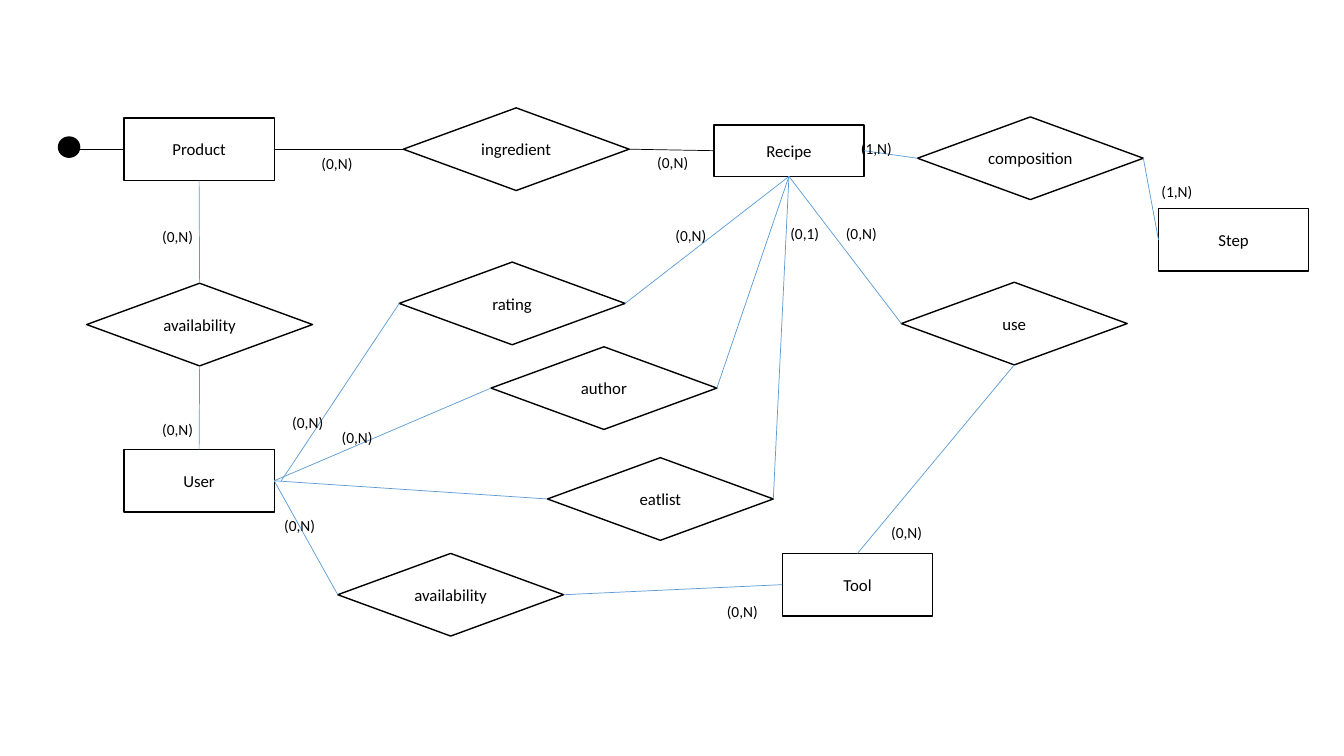
from dataclasses import dataclass

from lxml import etree
from pptx import Presentation
from pptx.dml.color import RGBColor
from pptx.enum.shapes import MSO_CONNECTOR, MSO_SHAPE
from pptx.enum.text import MSO_ANCHOR, MSO_AUTO_SIZE, PP_ALIGN
from pptx.oxml.ns import qn
from pptx.util import Inches, Pt

RECTANGLE, DIAMOND, OVAL = MSO_SHAPE.RECTANGLE, MSO_SHAPE.DIAMOND, MSO_SHAPE.OVAL
STRAIGHT = MSO_CONNECTOR.STRAIGHT
MIDDLE, CENTER, LEFT_ALIGN = MSO_ANCHOR.MIDDLE, PP_ALIGN.CENTER, PP_ALIGN.LEFT
GROW = MSO_AUTO_SIZE.SHAPE_TO_FIT_TEXT
TOP, LEFT, BOTTOM, RIGHT = range(4)  # connection sites of rectangles and diamonds


@dataclass(frozen=True)
class Theme:
    font: str = "Calibri"
    ink: RGBColor = RGBColor(0x00, 0x00, 0x00)
    paper: RGBColor = RGBColor(0xFF, 0xFF, 0xFF)
    link: RGBColor = RGBColor(0x5B, 0x9B, 0xD5)
    node_size: Pt = Pt(12)
    label_size: Pt = Pt(11)
    outline: Pt = Pt(1)
    link_width: Pt = Pt(0.5)


THEME = Theme()

# Positions and sizes are columns and rows of a grid with square cells
CELL = Inches(0.1)
ENTITY_SIZE = (14.9, 6.2)
RELATION_SIZE = (22.4, 8.2)
LABEL_SIZE = (5.1, 2.9)
RECIPE_HEIGHT = 5.1

# key: (column, row, height)
ENTITIES = {
    "Product": (12.3, 11.7, ENTITY_SIZE[1]),
    "Recipe": (70.8, 12.4, RECIPE_HEIGHT),
    "User": (12.3, 44.6, ENTITY_SIZE[1]),
    "Tool": (77.6, 54.9, ENTITY_SIZE[1]),
    "Step": (114.9, 20.7, ENTITY_SIZE[1]),
}

# key: (text, column, row)
RELATIONS = {
    "ingredient": ("ingredient", 40, 10.7),
    "product availability": ("availability", 8.6, 28.1),
    "tool availability": ("availability", 33.5, 54.9),
    "use": ("use", 89.4, 28),
    "rating": ("rating", 39.6, 26),
    "author": ("author", 48.7, 34.4),
    "composition": ("composition", 91, 11.6),
    "eatlist": ("eatlist", 54.3, 45.4),
}

BLACK_LINKS = [
    ("Product", RIGHT, "ingredient", LEFT),
    ("ingredient", RIGHT, "Recipe", LEFT),
]
BLUE_LINKS = [
    ("Product", BOTTOM, "product availability", TOP),
    ("product availability", BOTTOM, "User", TOP),
    ("User", RIGHT, "tool availability", LEFT),
    ("tool availability", RIGHT, "Tool", LEFT),
    ("Recipe", BOTTOM, "use", LEFT),
    ("use", BOTTOM, "Tool", TOP),
    ("rating", RIGHT, "Recipe", BOTTOM),
    ("User", RIGHT, "author", LEFT),
    ("author", RIGHT, "Recipe", BOTTOM),
    ("Recipe", RIGHT, "composition", LEFT),
    ("composition", RIGHT, "Step", LEFT),
    ("User", RIGHT, "eatlist", LEFT),
    ("eatlist", RIGHT, "Recipe", BOTTOM),
]

# cardinality: its (column, row) positions
CARDINALITIES = {
    "(0,N)": [
        (30.9, 14.8), (64.2, 14.7), (32.9, 42), (66, 21.9), (28, 40.5), (15.1, 41.2),
        (15.1, 22), (27.2, 50.7), (71.1, 59.2), (82.9, 21.7), (87.4, 51.4),
    ],
    "(0,1)": [(77.4, 21.7)],
    "(1,N)": [(84.4, 13.3), (114.2, 17.6)],
}


def cells(*counts):
    return [round(count * CELL) for count in counts]


def add_text(frame, text, size, alignment):
    paragraph = frame.paragraphs[0]
    paragraph.alignment = alignment
    run = paragraph.add_run()
    run.text = text
    run.font.name = THEME.font
    run.font.size = size
    run.font.color.rgb = THEME.ink


def add_node(slide, kind, position, size, fill, text=None):
    shape = slide.shapes.add_shape(kind, *cells(*position, *size))
    shape.shadow.inherit = False
    shape.fill.solid()
    shape.fill.fore_color.rgb = fill
    shape.line.color.rgb = THEME.ink
    shape.line.width = THEME.outline
    if text:
        shape.text_frame.vertical_anchor = MIDDLE
        add_text(shape.text_frame, text, THEME.node_size, CENTER)
    return shape


def add_link(slide, color, shape, site, end_shape=None, end_site=None, end=(0, 0)):
    """Run from a site of a shape to a site of another one, or to a grid point."""
    end_x, end_y = cells(*end)
    connector = slide.shapes.add_connector(STRAIGHT, 0, 0, end_x, end_y)
    connector.begin_connect(shape, site)
    if end_shape is not None:
        connector.end_connect(end_shape, end_site)
    connector.line.color.rgb = color
    connector.line.width = THEME.link_width
    etree.SubElement(connector.element.spPr, qn("a:effectLst"))


def add_cardinality(slide, text, position):
    box = slide.shapes.add_textbox(*cells(*position, *LABEL_SIZE))
    box.text_frame.word_wrap = False
    box.text_frame.auto_size = GROW
    add_text(box.text_frame, text, THEME.label_size, LEFT_ALIGN)


def main():
    presentation = Presentation()
    presentation.slide_width = Inches(13.33)
    presentation.slide_height = Inches(7.5)
    blank_layout = presentation.slide_layouts[6]
    slide = presentation.slides.add_slide(blank_layout)

    # Entities and relations
    nodes = {}
    for name, (column, row, height) in ENTITIES.items():
        size = (ENTITY_SIZE[0], height)
        nodes[name] = add_node(slide, RECTANGLE, (column, row), size, THEME.paper, name)
    for key, (text, *position) in RELATIONS.items():
        nodes[key] = add_node(slide, DIAMOND, position, RELATION_SIZE, THEME.paper, text)

    # Links between entities and relations
    for color, links in ((THEME.ink, BLACK_LINKS), (THEME.link, BLUE_LINKS)):
        for start, start_site, end, end_site in links:
            add_link(slide, color, nodes[start], start_site, nodes[end], end_site)
    add_link(slide, THEME.link, nodes["rating"], LEFT, end=(27.9, 47.7))

    # Key attribute of the product
    add_link(slide, THEME.ink, nodes["Product"], LEFT, end=(7.6, 14.8))
    add_node(slide, OVAL, (5.8, 13.6), (2.1, 2), THEME.ink)

    # Cardinalities
    for text, positions in CARDINALITIES.items():
        for position in positions:
            add_cardinality(slide, text, position)

    presentation.save("out.pptx")


main()
